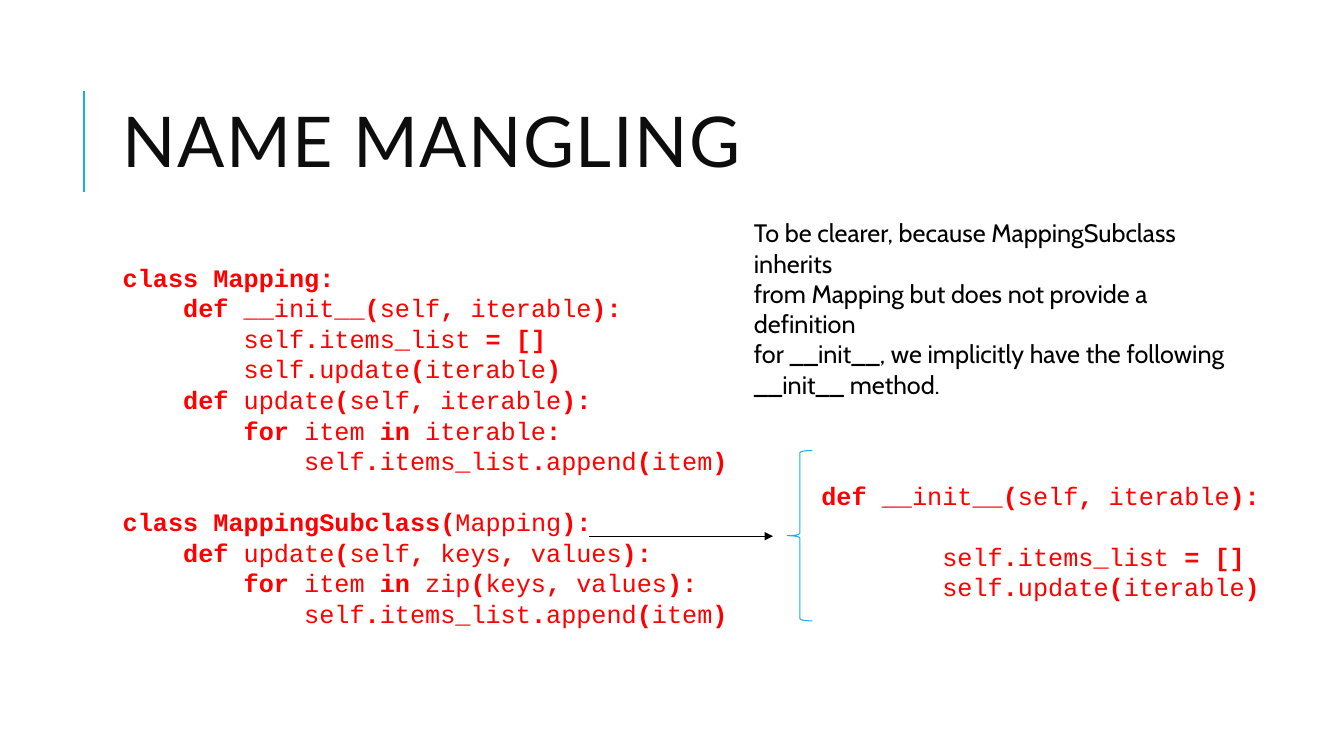
from pptx import Presentation
from pptx.dml.color import RGBColor
from pptx.enum.shapes import MSO_CONNECTOR, MSO_SHAPE
from pptx.enum.text import MSO_ANCHOR
from pptx.oxml.ns import qn
from pptx.util import Pt
from lxml.etree import SubElement

COLORS = {"title": "0D0D0D", "code": "FF0000", "text": "000000", "accent": "1CADE4"}
LINE_HEIGHT = Pt(21.8)
CODE_INDENT = Pt(43.2)

# A code line is (indent level, blank lines above, text);
# "|" switches between bold and regular, starting with bold.
INIT_HEAD = "def| __init__|(|self|, |iterable|):"
INIT_BODY = [
    (2, 0, "|self|.|items_list |= []"),
    (2, 0, "|self|.|update|(|iterable|)"),
]
APPEND_ITEM = (3, 0, "|self|.|items_list|.|append|(|item|)")
CLASSES_CODE = [
    (0, 0, "class Mapping:"),
    (1, 0, INIT_HEAD),
    *INIT_BODY,
    (1, 0, "def| update|(|self|, |iterable|):"),
    (2, 0, "for| item |in |iterable|:"),
    APPEND_ITEM,
    (0, 1, "class MappingSubclass(|Mapping|):"),
    (1, 0, "def| update|(|self|,| keys|,| values|):"),
    (2, 0, "for| item |in| zip|(|keys|,| values|):"),
    APPEND_ITEM,
]
IMPLICIT_INIT_CODE = [(0, 0, INIT_HEAD), (2, 1, INIT_BODY[0][2]), INIT_BODY[1]]
EXPLANATION = (
    "To be clearer, because MappingSubclass inherits\v"
    "from Mapping but does not provide a definition\v"
    "for __init__, we implicitly have the following\v"
    "__init__ method."
)


def rgb(name):
    return RGBColor.from_string(COLORS[name])


def set_font(paragraph, name, size, color):
    paragraph.font.name = name
    paragraph.font.size = Pt(size)
    paragraph.font.color.rgb = rgb(color)


def add_frame(slide, left, top, width, height):
    box = slide.shapes.add_textbox(Pt(left), Pt(top), Pt(width), Pt(height))
    box.text_frame.word_wrap = True
    return box.text_frame


def add_text(slide, text, bounds, font, size, color):
    frame = add_frame(slide, *bounds)
    frame.text = text
    set_font(frame.paragraphs[0], font, size, color)
    return frame


def add_title(slide, text, bounds):
    frame = add_text(slide, text, bounds, "Lato", 50, "title")
    frame.vertical_anchor = MSO_ANCHOR.MIDDLE
    heading = frame.paragraphs[0]
    heading.line_spacing = 0.8
    heading.runs[0].font._element.set("spc", "100")


def add_code(slide, lines, bounds):
    frame = add_frame(slide, *bounds)
    for number, (level, blanks, text) in enumerate(lines):
        code_line = frame.add_paragraph() if number else frame.paragraphs[0]
        set_font(code_line, "Courier New", 18, "code")
        code_line.line_spacing = LINE_HEIGHT
        code_line.space_before = blanks * LINE_HEIGHT
        code_line._p.get_or_add_pPr().set("marL", str(level * CODE_INDENT))
        for position, part in enumerate(text.split("|")):
            if part:
                run = code_line.add_run()
                run.text = part
                run.font.bold = position % 2 == 0


def add_line(slide, start, end, color, width, arrow=False):
    line = slide.shapes.add_connector(
        MSO_CONNECTOR.STRAIGHT, *(Pt(value) for value in (*start, *end))
    )
    line.line.color.rgb = rgb(color)
    line.line.width = Pt(width)
    if arrow:
        SubElement(line.line._get_or_add_ln(), qn("a:tailEnd"), type="triangle")
    SubElement(line._element.spPr, qn("a:effectLst"))


def add_brace(slide, left, top, width, height):
    brace = slide.shapes.add_shape(
        MSO_SHAPE.LEFT_BRACE, Pt(left), Pt(top), Pt(width), Pt(height)
    )
    brace.shadow.inherit = False
    brace.fill.background()
    brace.line.color.rgb = rgb("accent")
    brace.line.width = Pt(0.75)


def main():
    presentation = Presentation()
    presentation.slide_width = Pt(960)
    presentation.slide_height = Pt(540)
    slide = presentation.slides.add_slide(presentation.slide_layouts[6])

    add_line(slide, (60, 137), (60, 65), "accent", 1.5)
    add_title(slide, "NAME MANGLING", (80.6, 46, 765.4, 118))
    add_code(slide, CLASSES_CODE, (80.6, 183.6, 656.6, 269.3))
    add_line(slide, (420.5, 383), (552.2, 383), "text", 0.75, arrow=True)
    add_brace(slide, 562.3, 321.8, 18, 121.7)
    add_code(slide, IMPLICIT_INIT_CODE, (579.6, 339.1, 339.8, 94.4))
    add_text(slide, EXPLANATION, (531.4, 151.9, 363.6, 94.3), "Cabin", 18, "text")

    presentation.save("out.pptx")


if __name__ == "__main__":
    main()
